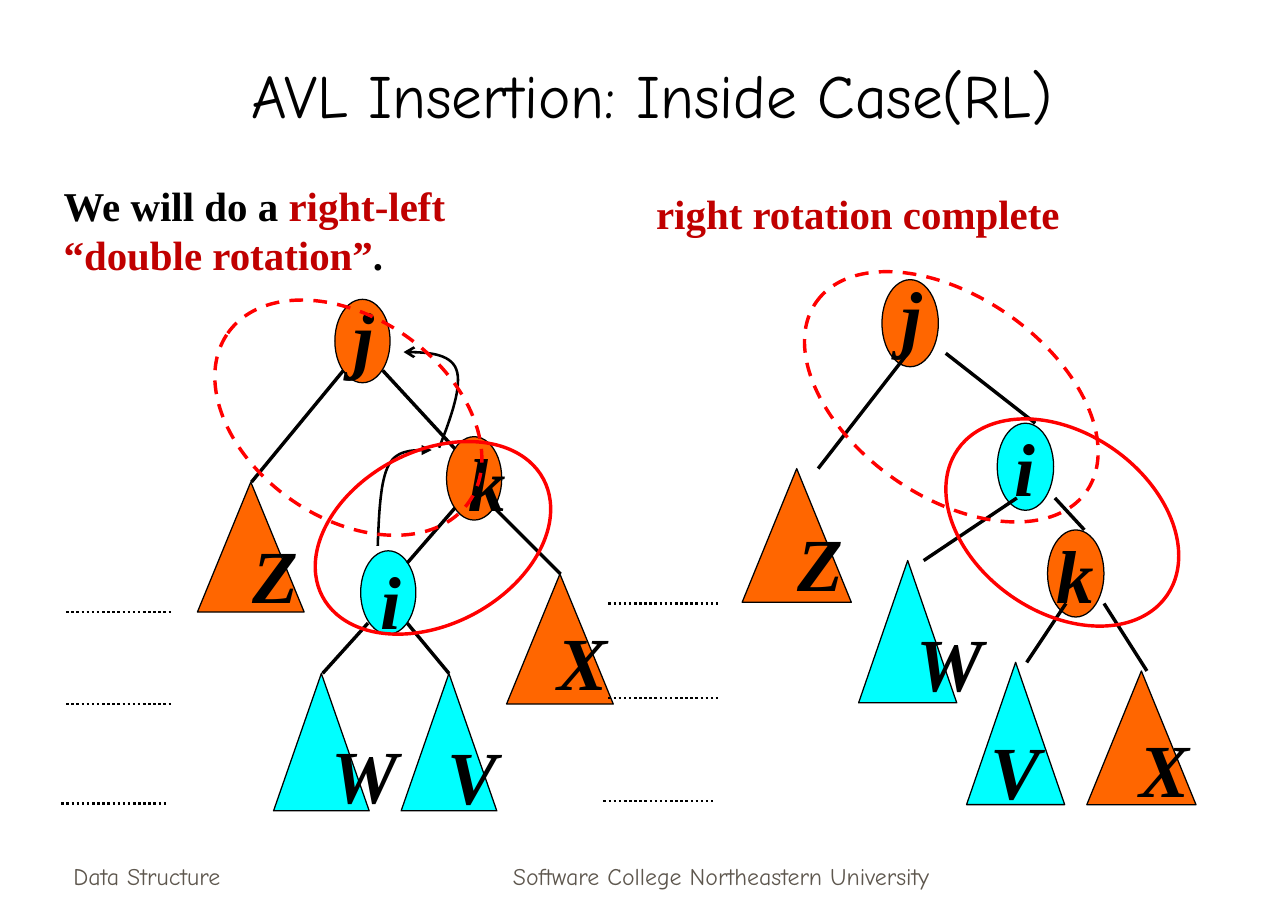
from lxml.etree import SubElement
from pptx import Presentation
from pptx.dml.color import RGBColor
from pptx.enum.dml import MSO_LINE_DASH_STYLE as Dash
from pptx.enum.shapes import MSO_CONNECTOR, MSO_SHAPE as Shape
from pptx.enum.text import MSO_ANCHOR as Anchor, MSO_AUTO_SIZE as AutoSize, PP_ALIGN as Align
from pptx.oxml.ns import qn
from pptx.util import Inches, Pt

# The slide is a grid of 105 columns by 75 rows
COLUMNS, ROWS = 105, 75
CELL = Inches(10.5) / COLUMNS
CURVE_STEPS = 16
COLOURS = {"ink": "000000", "footer": "5E574E", "accent": "C00000",
           "orange": "FF6600", "cyan": "00FFFF", "ring": "FF0000"}
HEADING_FONT, BODY_FONT = "Comic Neue", "Times New Roman"
LETTER_BOX = (2.8, 8.4)

# Parts: letter, kind, colour, left and top, letter box left and top (None: centred)
# Rings: left, top, width, height, rotation, dash
BEFORE = {
    "sizes": {"node": (4.5, 6.8), "outer": (8.7, 10.6), "inner": (7.8, 11.2)},
    "parts": [
        ("j", "node", "orange", (27.3, 24.4), (27.8, 23.2)),
        ("k", "node", "orange", (36.4, 35.6), (37.2, 35.1)),
        ("X", "outer", "orange", (41.3, 46.8), (44.5, 49.7)),
        ("V", "inner", "cyan", (32.7, 54.9), (35.5, 59)),
        ("Z", "outer", "orange", (16.1, 39.3), (19.6, 42.6)),
        ("W", "inner", "cyan", (22.3, 54.9), (26, 58.9)),
        ("i", "node", "cyan", (29.4, 44.9), (30, 44.7)),
    ],
    "edges": [(31.2, 30.2, 37.1, 36.6), (28, 30.2, 20.5, 39.3),
              (40.3, 41.4, 45.7, 46.8), (37.1, 41.4, 33.2, 45.9),
              (33.2, 50.8, 36.6, 54.9), (30, 50.8, 26.3, 54.9)],
    "levels": [(5.4, 49.9), (5.4, 57.4), (5, 65.5)],
    "rings": [(25.1, 36.8, 20.4, 14.1, 332, None),
              (16.4, 25.9, 24, 16.3, 35, Dash.DASH)],
}
AFTER = {
    "sizes": {"node": (4.6, 7.1), "outer": (8.9, 10.9), "inner": (8, 11.6)},
    "parts": [
        ("j", "node", "orange", (71.9, 22.8), (72.5, 21.5)),
        ("k", "node", "orange", (85.4, 43.2), None),
        ("X", "outer", "orange", (88.6, 54.7), (91.9, 58.4)),
        ("V", "inner", "cyan", (78.8, 54), None),
        ("Z", "outer", "orange", (60.5, 38.2), (64, 41.6)),
        ("W", "inner", "cyan", (70, 45.7), (73.7, 49.8)),
        ("i", "node", "cyan", (81.3, 34.5), None),
    ],
    "edges": [(77.1, 28.8, 84.4, 34.5), (74, 28.8, 66.7, 38.2),
              (82.9, 40.6, 75.3, 45.7), (86, 40.6, 88.4, 43.2),
              (86.9, 49.2, 83.7, 54), (90, 49.2, 93.5, 54.7)],
    "levels": [(49.6, 49.2), (49.6, 56.9), (49.2, 65.3)],
    "rings": [(76.2, 35.3, 20.8, 14.6, 35, None),
              (64.1, 24.2, 26.9, 16.3, 35, Dash.DASH)],
}
# Rotation arrows: head type, start point, then cubic segments
ARROWS = [
    ("triangle", (30.8, 44.5), [((30.9, 41.9), (31, 39.2), (31.7, 37.9)),
                                ((32.4, 36.6), (33.8, 36.7), (35.2, 36.7))]),
    ("arrow", (35.8, 36.5), [((36.8, 34), (37.7, 31.4), (37.2, 30.1)),
                             ((36.7, 28.8), (34.8, 28.7), (32.9, 28.7))]),
]


def grid(*cells):
    return [round(cell * CELL) for cell in cells]


def colour(name):
    return RGBColor.from_string(COLOURS[name])


def style_line(line, name, width, dash=None):
    line.color.rgb = colour(name)
    line.width = Pt(width)
    if dash is not None:
        line.dash_style = dash


def style_font(font, name, size, family, strong=False, italic=False):
    font.name, font.size = family, Pt(size)
    font.bold, font.italic = strong, italic
    font.color.rgb = colour(name)


def write_letter(frame, letter):
    paragraph = frame.paragraphs[0]
    paragraph.text = letter
    style_font(paragraph.font, "ink", 44, BODY_FONT, True, True)
    return paragraph


def add_text(slide, area, lines, size, family, strong=False,
             align=Align.LEFT, anchor=Anchor.TOP, wrap=True):
    """Each line is a list of (text, colour name) runs."""
    frame = slide.shapes.add_textbox(*grid(*area)).text_frame
    frame.word_wrap, frame.vertical_anchor = wrap, anchor
    for index, runs in enumerate(lines):
        paragraph = frame.add_paragraph() if index else frame.paragraphs[0]
        paragraph.alignment = align
        for text, name in runs:
            run = paragraph.add_run()
            run.text = text
            style_font(run.font, name, size, family, strong)


def add_title(slide, text):
    title = slide.shapes.title
    title.left, title.top, title.width, title.height = grid(8.3, 3.3, 89.7, 7.9)
    frame = title.text_frame
    frame.text = text
    frame.vertical_anchor, frame.auto_size = Anchor.BOTTOM, AutoSize.NONE
    paragraph = frame.paragraphs[0]
    paragraph.alignment = Align.CENTER
    style_font(paragraph.font, "ink", 36, HEADING_FONT)


def add_part(slide, sizes, letter, kind, fill, corner, letter_corner):
    preset = Shape.OVAL if kind == "node" else Shape.ISOSCELES_TRIANGLE
    shape = slide.shapes.add_shape(preset, *grid(*corner, *sizes[kind]))
    shape.shadow.inherit = False
    shape.fill.solid()
    shape.fill.fore_color.rgb = colour(fill)
    style_line(shape.line, "ink", 0.75)
    if letter_corner:
        frame = slide.shapes.add_textbox(*grid(*letter_corner, *LETTER_BOX)).text_frame
        frame.word_wrap = True
        write_letter(frame, letter)
    else:
        frame = shape.text_frame
        frame.word_wrap, frame.vertical_anchor = False, Anchor.MIDDLE
        write_letter(frame, letter).alignment = Align.CENTER


def add_line(slide, ends, width, dash=None):
    line = slide.shapes.add_connector(MSO_CONNECTOR.STRAIGHT, *grid(*ends))
    style_line(line.line, "ink", width, dash)
    SubElement(line._element.spPr, qn("a:effectLst"))


def add_ring(slide, left, top, width, height, rotation, dash):
    ring = slide.shapes.add_shape(Shape.OVAL, *grid(left, top, width, height))
    ring.shadow.inherit = False
    ring.fill.background()
    ring.rotation = rotation
    style_line(ring.line, "ring", 2, dash)


def cubic(points, t):
    weights = ((1 - t) ** 3, 3 * t * (1 - t) ** 2, 3 * t ** 2 * (1 - t), t ** 3)
    return [sum(w * point[axis] for w, point in zip(weights, points)) for axis in (0, 1)]


def add_curved_arrow(slide, head, start, segments):
    builder = slide.shapes.build_freeform(*grid(*start))
    for segment in segments:
        points = (start, *segment)
        builder.add_line_segments(
            [grid(*cubic(points, step / CURVE_STEPS)) for step in range(1, CURVE_STEPS + 1)],
            close=False)
        start = segment[-1]
    curve = builder.convert_to_shape()
    curve.shadow.inherit = False
    curve.fill.background()
    style_line(curve.line, "ink", 1.5)
    SubElement(curve.line._get_or_add_ln(), qn("a:tailEnd"), type=head)


def add_tree(slide, tree, arrows=()):
    for part in tree["parts"]:
        add_part(slide, tree["sizes"], *part)
    for ends in tree["edges"]:
        add_line(slide, ends, 2)
    for left, top in tree["levels"]:
        add_line(slide, (left, top, left + tree["sizes"]["outer"][0], top), 1.5, Dash.ROUND_DOT)
    for arrow in arrows:
        add_curved_arrow(slide, *arrow)
    for ring in tree["rings"]:
        add_ring(slide, *ring)


def main():
    presentation = Presentation()
    presentation.slide_width, presentation.slide_height = grid(COLUMNS, ROWS)
    slide = presentation.slides.add_slide(presentation.slide_layouts[5])

    # Footer and title
    for area, text, align in (
            ((5, 68.1, 21.9, 5), "Data Structure", Align.LEFT),
            ((35.9, 68.1, 45.8, 5), "Software College Northeastern University", Align.CENTER)):
        add_text(slide, area, [[(text, "footer")]], 14, HEADING_FONT,
                 align=align, anchor=Anchor.BOTTOM)
    add_title(slide, "AVL Insertion: Inside Case(RL)")

    # Tree before the rotation
    add_text(slide, (4.2, 14.2, 65.8, 9),
             [[("We will do a ", "ink"), ("right-left", "accent")],
              [("“double rotation”", "accent"), (".", "ink")]], 24, BODY_FONT, True)
    add_tree(slide, BEFORE, ARROWS)

    # Tree after the right rotation
    add_text(slide, (52.5, 14.9, 34.9, 5), [[("right rotation complete", "accent")]],
             24, BODY_FONT, True, wrap=False)
    add_tree(slide, AFTER)

    presentation.save("out.pptx")


if __name__ == "__main__":
    main()
